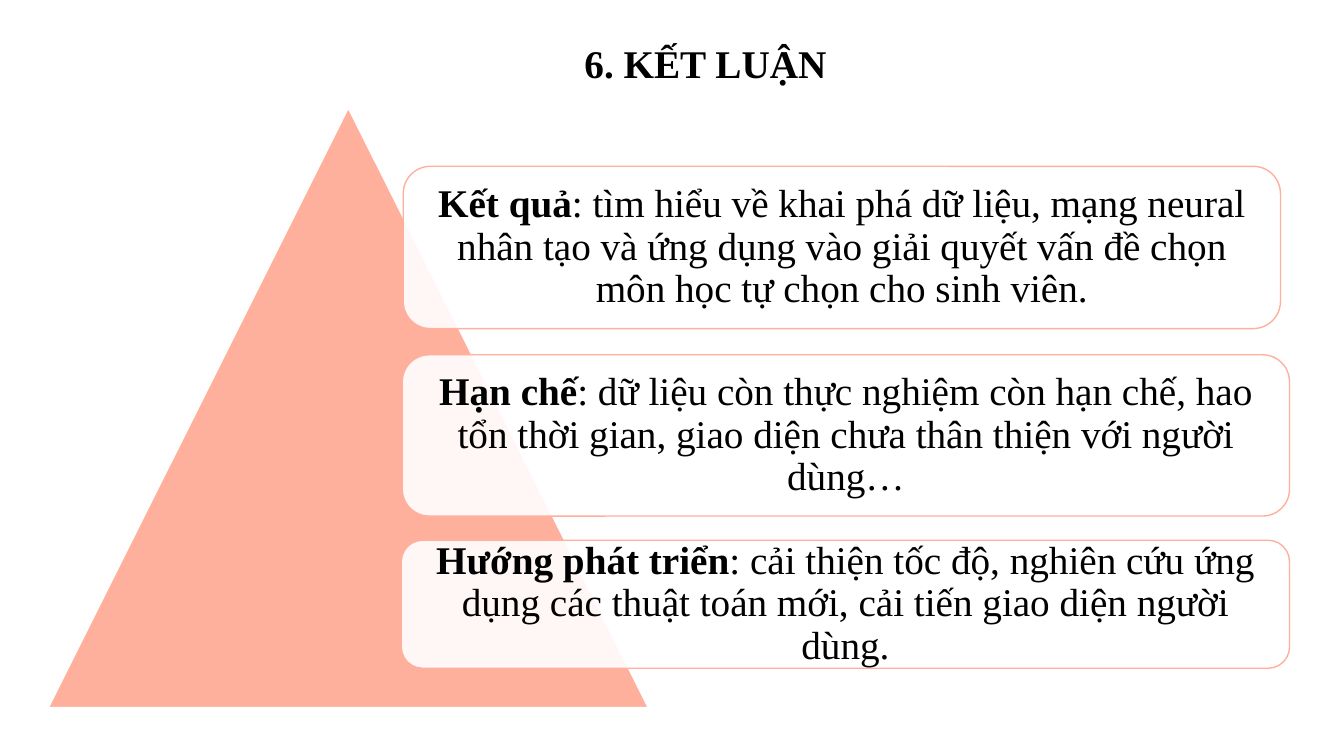
from lxml.etree import SubElement
from pptx import Presentation
from pptx.dml.color import RGBColor
from pptx.enum.shapes import MSO_SHAPE as SHAPE
from pptx.enum.text import MSO_ANCHOR as ANCHOR, PP_ALIGN as ALIGN
from pptx.oxml.ns import qn
from pptx.util import Inches, Pt

TITLE = "6. KẾT LUẬN "
TITLE_BOX = (4.85, 0.24, 4.39, 0.83)
PYRAMID_BOX = (0.48, 1.07, 5.95, 5.95)
CARDS = [
    ("Kết quả", ": tìm hiểu về khai phá dữ liệu, mạng neural nhân tạo và ứng dụng "
     "vào giải quyết vấn đề chọn môn học tự chọn cho sinh viên.", (4, 1.65, 8.7, 1.61)),
    ("Hạn chế", ": dữ liệu còn thực nghiệm còn hạn chế, hao tổn thời gian, "
     "giao diện chưa thân thiện với người dùng…", (3.99, 3.52, 8.8, 1.6)),
    ("Hướng phát triển", ": cải thiện tốc độ, nghiên cứu ứng dụng các thuật toán mới, "
     "cải tiến giao diện người dùng.", (3.98, 5.36, 8.81, 1.27)),
]
SALMON = RGBColor(0xFF, 0xB0, 0x9D)
WHITE = RGBColor(0xFF, 0xFF, 0xFF)
BLACK = RGBColor(0, 0, 0)
FONT = {"name": "Times New Roman", "size": Pt(28)}
CARD_FRAME = {"word_wrap": True, "vertical_anchor": ANCHOR.MIDDLE}
CARD_FRAME.update({f"margin_{side}": Inches(0.12) for side in ("left", "top", "right", "bottom")})
CARD_OPACITY = 90


def set_all(obj, values):
    for name, value in values.items():
        setattr(obj, name, value)


def add_shape(kind, box, fill, line):
    sp = s.shapes.add_shape(kind, *map(Inches, box))
    sp.shadow.inherit = False
    sp.fill.solid()
    sp.fill.fore_color.rgb = fill
    sp.line.color.rgb = line
    sp.line.width = Pt(1)
    return sp


def write(tf, runs):
    p = tf.paragraphs[0]
    set_all(p, {"alignment": ALIGN.CENTER, "line_spacing": 0.9})
    for text, bold in runs:
        r = p.add_run()
        r.text = text
        set_all(r.font, {**FONT, "bold": bold})
        r.font.color.rgb = BLACK


prs = Presentation()
set_all(prs, {"slide_width": Inches(13.33), "slide_height": Inches(7.5)})
s = prs.slides.add_slide(prs.slide_layouts[5])

title = s.shapes.title
set_all(title, dict(zip(("left", "top", "width", "height"), map(Inches, TITLE_BOX))))
title.text_frame.vertical_anchor = ANCHOR.MIDDLE
write(title.text_frame, [(TITLE, True)])

add_shape(SHAPE.ISOSCELES_TRIANGLE, PYRAMID_BOX, SALMON, WHITE)

for heading, body, box in CARDS:
    card = add_shape(SHAPE.ROUNDED_RECTANGLE, box, WHITE, SALMON)
    color = card.fill._xPr.find(qn("a:solidFill"))[0]
    SubElement(color, qn("a:alpha")).set("val", str(CARD_OPACITY * 1000))
    set_all(card.text_frame, CARD_FRAME)
    write(card.text_frame, [(heading, True), (body, False)])

prs.save("out.pptx")
